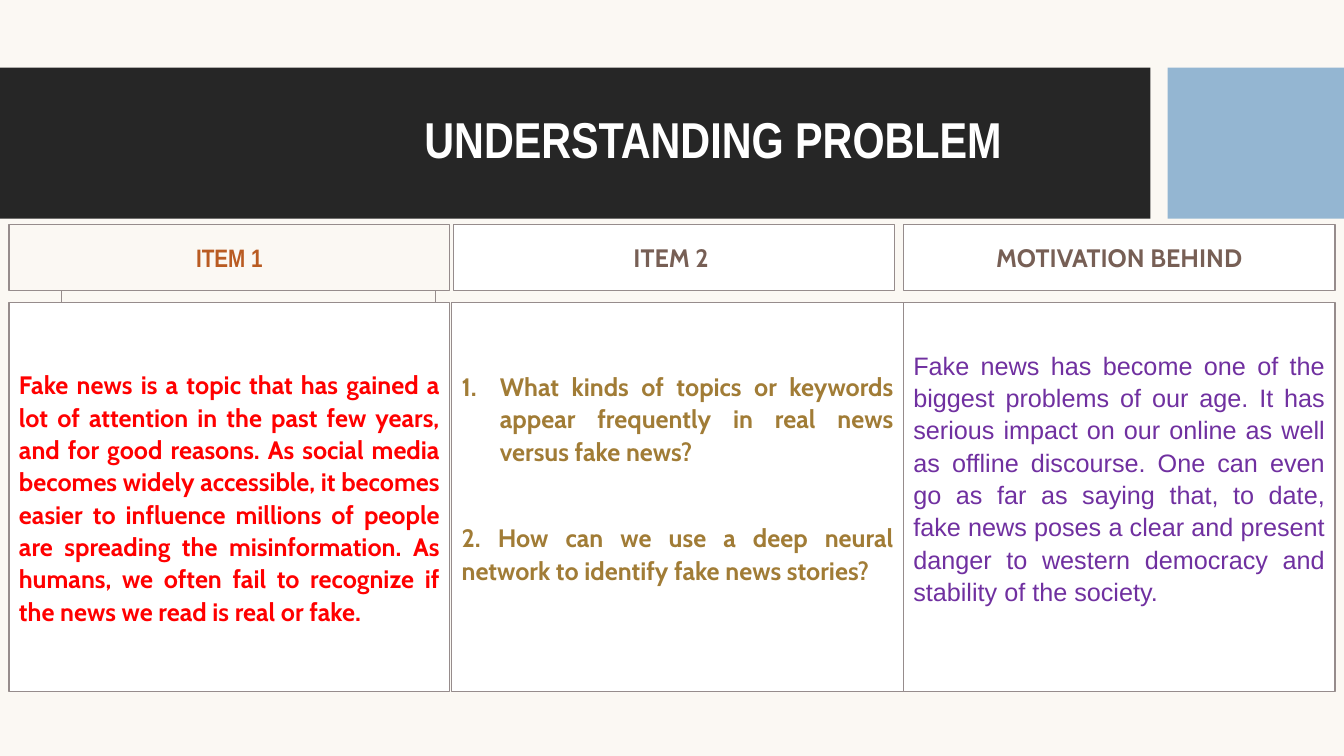
from lxml import etree
from pptx import Presentation, util as u
from pptx.dml.color import RGBColor
from pptx.enum import shapes, text
from pptx.oxml.ns import qn

CREAM = RGBColor(0xFB, 0xF8, 0xF3)
WHITE = RGBColor(0xFF, 0xFF, 0xFF)
DARK = RGBColor(0x26, 0x26, 0x26)
BLUE = RGBColor(0x94, 0xB6, 0xD2)
GREY = RGBColor(0x96, 0x8C, 0x8C)
RUST = RGBColor(0xB9, 0x5B, 0x22)
BROWN = RGBColor(0x77, 0x5F, 0x55)
GOLD = RGBColor(0xA1, 0x7C, 0x36)
RED = RGBColor(0xFF, 0x00, 0x00)
PURPLE = RGBColor(0x70, 0x30, 0xA0)

MID, JUST = text.PP_ALIGN.CENTER, text.PP_ALIGN.JUSTIFY
HEAD, BODY = (2.23, 0.65), (3, 3.86)  # top and height of each row
LOW = 0.44  # bottom inset that lifts the shorter texts

deck = Presentation()
deck.slide_width, deck.slide_height = u.Inches(13.33), u.Inches(7.5)
slide = deck.slides.add_slide(deck.slide_layouts[6])
slide.background.fill.solid()
slide.background.fill.fore_color.rgb = CREAM


def add_box(left, top, width, height, fill=None, line=None):
    box = slide.shapes.add_shape(shapes.MSO_SHAPE.RECTANGLE,
                                 *map(u.Inches, (left, top, width, height)))
    box.shadow.inherit = False
    if fill is None:
        box.fill.background()
    else:
        box.fill.solid()
        box.fill.fore_color.rgb = fill
    if line is None:
        box.line.fill.background()
    else:
        box.line.color.rgb = line
        box.line.width = u.Pt(1)
    return box


def write(box, lines, look, color, form, low=0.05):
    """Fill a box with paragraphs that share one font and one layout."""
    frame = box.text_frame
    frame.word_wrap = True
    frame.vertical_anchor = text.MSO_ANCHOR.MIDDLE
    frame.margin_bottom = u.Inches(low)
    for i, line in enumerate(lines):
        par = frame.paragraphs[0] if i == 0 else frame.add_paragraph()
        run = par.add_run()
        run.text = line
        for key, val in form.items():
            setattr(par, key, val)
        for key, val in look.items():
            setattr(run.font, key, val)
        run.font.color.rgb = color
    return frame.paragraphs


narrow = dict(name="Arial Narrow", size=u.Pt(18), bold=True)
cabin = dict(name="Cabin", size=u.Pt(18), bold=True)
arial = dict(name="Arial", size=u.Pt(18), bold=False)
label = dict(alignment=MID)
prose = dict(alignment=JUST, line_spacing=1.07, space_after=u.Pt(8))

# Title band
add_box(0, 0.67, 11.41, 1.5, DARK)
add_box(11.58, 0.67, 1.75, 1.5, BLUE)
title = slide.shapes.add_textbox(*map(u.Inches, (1.48, 1.01, 11.19, 0.8)))
write(title, ["UNDERSTANDING PROBLEM"], narrow | dict(size=u.Pt(36)), WHITE,
      dict(alignment=MID, line_spacing=0.9))

# Questions, behind the other columns
asks = write(add_box(4.48, BODY[0], 4.48, BODY[1], WHITE, GREY), [
    "What kinds of topics or keywords appear frequently in real news versus fake news?",
    "2. How can we use a deep neural network to identify fake news stories?",
], cabin, GOLD, prose, LOW)
asks[0].space_after = u.Pt(39)
props = asks[0]._p.get_or_add_pPr()
props.set("marL", str(u.Inches(0.38)))
props.set("indent", str(-u.Inches(0.38)))
etree.SubElement(props, qn("a:buFont"), typeface="+mj-lt")
etree.SubElement(props, qn("a:buAutoNum"), type="arabicPeriod")

add_box(0.61, 2.88, 3.71, 3.86, line=GREY)

# Column heads
for left, width, fill, word, look, color in (
        (0.09, 4.37, CREAM, "ITEM 1", narrow, RUST),
        (4.5, 4.37, WHITE, "ITEM 2 ", cabin, BROWN),
        (8.96, 4.28, WHITE, "MOTIVATION BEHIND", cabin, BROWN)):
    write(add_box(left, HEAD[0], width, HEAD[1], fill, GREY), [word], look, color, label)

# Outer columns
for left, width, words, look, color, low in (
        (0.09, 4.37,
         "Fake news is a topic that has gained a lot of attention in the past few years, "
         "and for good reasons. As social media becomes widely accessible, it becomes "
         "easier to influence millions of people are spreading the misinformation. As "
         "humans, we often fail to recognize if the news we read is real or fake.",
         cabin, RED, 0.05),
        (8.96, 4.28,
         "Fake news has become one of the biggest problems of our age. It has serious "
         "impact on our online as well as offline discourse. One can even go as far as "
         "saying that, to date, fake news poses a clear and present danger to western "
         "democracy and stability of the society.",
         arial, PURPLE, LOW)):
    write(add_box(left, BODY[0], width, BODY[1], WHITE, GREY), [words], look, color, prose, low)

deck.save("out.pptx")
